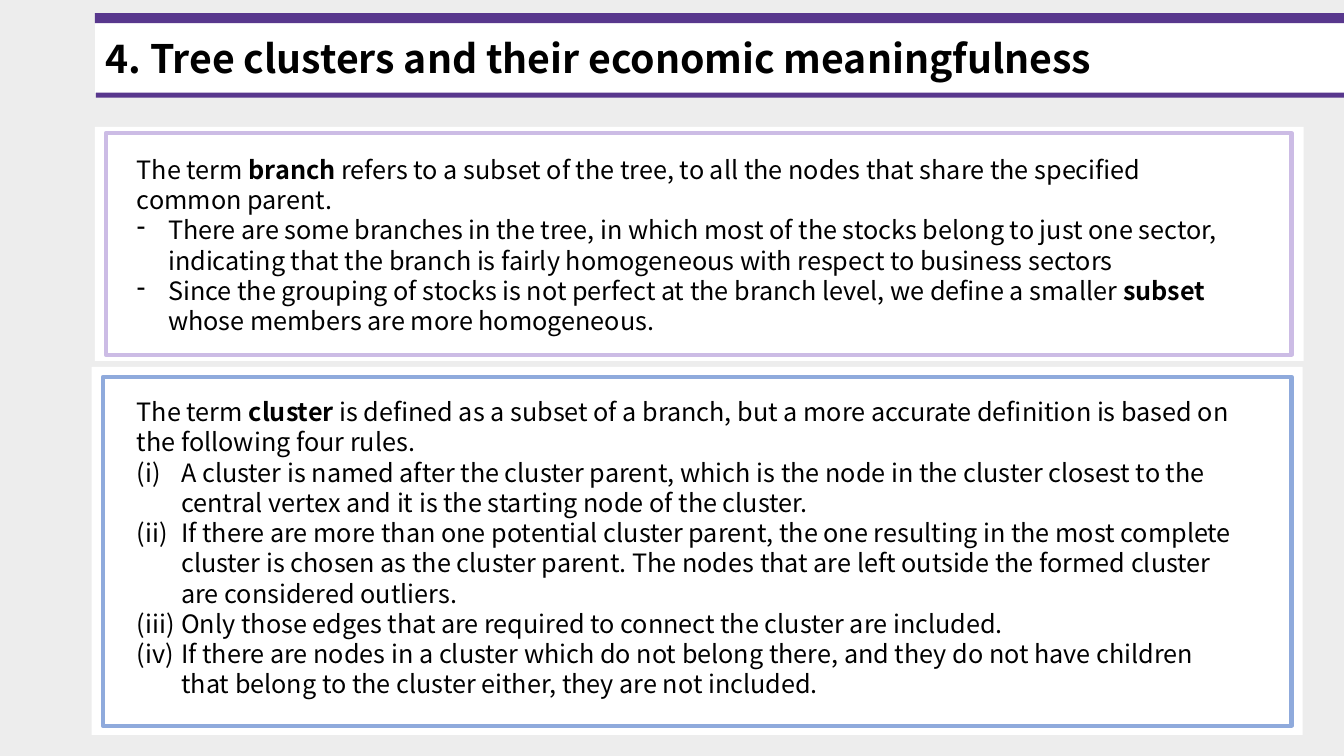
"""Build a slide on branches and clusters of a tree."""
from lxml import etree
from pptx import Presentation
from pptx import util as u
from pptx.dml import color
from pptx.enum import shapes, text
from pptx.oxml import ns

HUES = {"back": "EDEDED", "white": "FFFFFF", "ink": "000000",
        "bar": "58378D", "lilac": "CCBCE5", "blue": "8FAADC"}
DASH = ("buChar", {"char": "-"}, 0.31)
ROMAN = ("buAutoNum", {"type": "romanLcParenBoth"}, 0.44)
BODY = [
    (None, 0, ["The term ", "branch", " refers to a subset of the tree, to all the nodes "
               "that share the specified common parent."]),
    (DASH, 0, ["There are some branches in the tree, in which most of the stocks belong to "
               "just one sector, indicating that the branch is fairly homogeneous with "
               "respect to business sectors"]),
    (DASH, 0, ["Since the grouping of stocks is not perfect at the branch level, we define "
               "a smaller ", "subset", " whose members are more homogeneous."]),
    (None, 43.5, ["The term ", "cluster", " is defined as a subset of a branch, but a more "
                  "accurate definition is based on the following four rules."]),
    (ROMAN, 0, ["A cluster is named after the cluster parent, which is the node in the "
                "cluster closest to the central vertex and it is the starting node of the "
                "cluster."]),
    (ROMAN, 0, ["If there are more than one potential cluster parent, the one resulting in "
                "the most complete cluster is chosen as the cluster parent. The nodes that "
                "are left outside the formed cluster are considered outliers."]),
    (ROMAN, 0, ["Only those edges that are required to connect the cluster are included."]),
    (ROMAN, 0, ["If there are nodes in a cluster which do not belong there, and they do not "
                "have children that belong to the cluster either, they are not included."]),
]


class Deck:
    """Hold the style and the current slide."""

    font = "Noto Sans CJK KR"

    def __init__(self, wide, high):
        self.show = Presentation()
        self.show.slide_width = u.Inches(wide)
        self.show.slide_height = u.Inches(high)
        self.slide = self.show.slides.add_slide(self.show.slide_layouts[6])
        self.paint(self.slide.background.fill, "back")

    def paint(self, fill, hue):
        fill.solid()
        fill.fore_color.rgb = color.RGBColor.from_string(HUES[hue])

    def rect(self, area, hue, edge=None, width=3):
        box = self.slide.shapes.add_shape(
            shapes.MSO_SHAPE.RECTANGLE, *map(u.Inches, area))
        box.shadow.inherit = False
        self.paint(box.fill, hue)
        if edge:
            self.paint(box.line.fill, edge)
            box.line.width = u.Pt(width)
        else:
            box.line.fill.background()

    def panel(self, outer, inner, edge):
        self.rect(outer, "white")
        self.rect(inner, "white", edge)

    def frame(self, area):
        frame = self.slide.shapes.add_textbox(*map(u.Inches, area)).text_frame
        frame.word_wrap = True
        frame.auto_size = text.MSO_AUTO_SIZE.SHAPE_TO_FIT_TEXT
        return frame

    def style(self, run, size, bold):
        run.font.name, run.font.size, run.font.bold = self.font, u.Pt(size), bold
        self.paint(run.font.fill, "ink")

    def title(self, area, words):
        para = self.frame(area).paragraphs[0]
        para.text = words
        self.style(para.runs[0], 28, True)

    def mark(self, para, kind, attrs, dent):
        props = para._p.get_or_add_pPr()
        props.set("marL", str(u.Inches(dent)))
        props.set("indent", str(-u.Inches(dent)))
        etree.SubElement(props, ns.qn("a:" + kind), attrs)

    def body(self, area, items):
        frame = self.frame(area)
        for num, (bullet, gap, parts) in enumerate(items):
            para = frame.add_paragraph() if num else frame.paragraphs[0]
            if gap:
                para.space_before = u.Pt(gap)
            if bullet:
                self.mark(para, *bullet)
            for pos, words in enumerate(parts):
                run = para.add_run()
                run.text = words
                self.style(run, 18, pos == 1)


def main():
    deck = Deck(13.33, 7.5)
    deck.panel((0.91, 3.64, 12.01, 3.65), (1.02, 3.74, 11.79, 3.46), "blue")
    deck.rect((0.95, 0.21, 12.38, 0.71), "white", "white", 1)
    deck.title((0.95, 0.29, 10.54, 0.57), "4. Tree clusters and their economic meaningfulness")
    deck.rect((0.94, 0.13, 12.39, 0.1), "bar")
    deck.rect((0.95, 0.92, 12.38, 0.05), "bar")
    deck.panel((0.94, 1.26, 11.99, 2.32), (1.05, 1.32, 11.76, 2.2), "lilac")
    deck.body((1.26, 1.48, 11.14, 5.55), BODY)
    deck.show.save("out.pptx")


if __name__ == "__main__":
    main()
